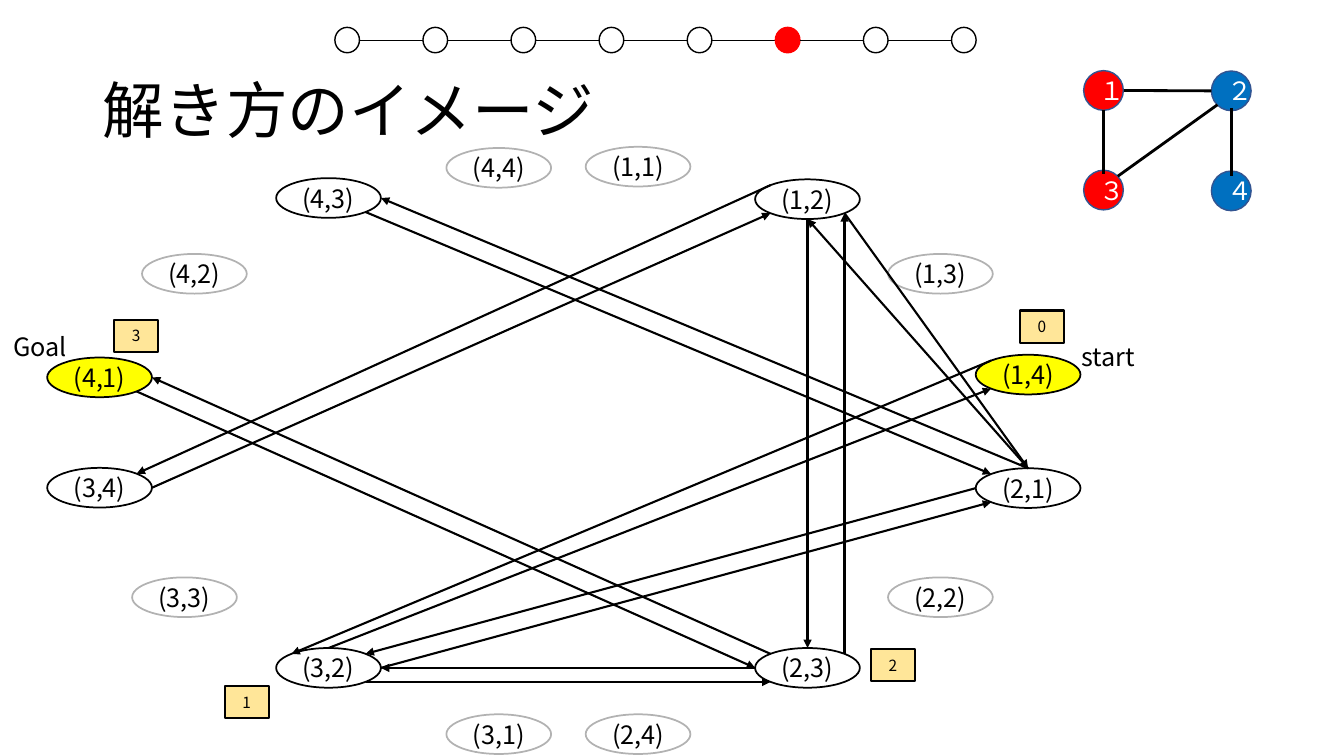
from math import sqrt

from lxml.etree import SubElement
from pptx import Presentation
from pptx.dml.color import RGBColor as Rgb
from pptx.enum.shapes import MSO_CONNECTOR as Conn, MSO_SHAPE as Kind
from pptx.enum.text import MSO_ANCHOR as Anchor, MSO_AUTO_SIZE as Auto, PP_ALIGN as Align
from pptx.oxml.ns import qn
from pptx.util import Cm, Pt

FONT = "Noto Sans CJK JP"
COLORS = {"black": "000000", "white": "FFFFFF", "red": "FF0000", "blue": "0070C0",
          "rim": "325491", "yellow": "FFFF00", "sand": "FFE699"}
NODE_W, NODE_H = 2.64, 1.0
DIAG = sqrt(0.5)
SITES = {"t": (0, -1), "b": (0, 1), "l": (-1, 0), "r": (1, 0),
         "tl": (-DIAG, -DIAG), "tr": (DIAG, -DIAG),
         "bl": (-DIAG, DIAG), "br": (DIAG, DIAG)}
NODES = {"(1,1)": (16.08, 4.2), "(4,4)": (12.57, 4.23), "(4,3)": (8.28, 4.99),
         "(4,2)": (4.9, 6.9), "(1,2)": (20.35, 5.02), "(1,3)": (23.7, 6.9),
         "(2,2)": (23.7, 15.05), "(4,1)": (2.51, 9.51), "(3,4)": (2.51, 12.29),
         "(3,3)": (4.65, 15.05), "(3,2)": (8.28, 16.83), "(3,1)": (12.57, 18.5),
         "(1,4)": (25.91, 9.44), "(2,4)": (16.08, 18.5), "(2,3)": (20.35, 16.83),
         "(2,1)": (25.91, 12.3)}
FADED = {"(1,1)", "(4,4)", "(4,2)", "(1,3)", "(2,2)", "(3,3)", "(3,1)", "(2,4)"}
ENDS = {"(1,4)", "(4,1)"}
EDGES = [("(1,2)", "tl", "(3,4)", "tr"), ("(1,2)", "b", "(2,3)", "t"),
         ("(2,1)", "t", "(4,3)", "r"), ("(2,1)", "l", "(3,2)", "tr"),
         ("(3,2)", "t", "(1,4)", "bl"), ("(1,4)", "tl", "(3,2)", "tl"),
         ("(2,3)", "tr", "(1,2)", "br"), ("(2,3)", "tl", "(4,1)", "r"),
         ("(3,2)", "r", "(2,1)", "bl"), ("(3,4)", "r", "(1,2)", "bl"),
         ("(4,1)", "br", "(2,3)", "l"), ("(4,3)", "br", "(2,1)", "tl"),
         ("(3,2)", "br", "(2,3)", "bl"), ("(2,3)", "l", "(3,2)", "r"),
         ("(2,1)", "t", "(1,2)", "b"), ("(1,2)", "br", "(2,1)", "t")]
MAP_DOTS = [("１", 27.81, 2.28, "red"), ("２", 31.03, 2.29, "blue"),
            ("４", 31.03, 4.81, "blue"), ("３", 27.81, 4.79, "red")]
MAP_LINES = [((28.32, 2.28), (30.53, 2.29)), ((28.17, 4.44), (30.68, 2.64)),
             ((27.81, 2.77), (27.81, 4.39)), ((31.04, 2.72), (31.04, 4.44))]
COSTS = [("0", 26.26, 8.23), ("2", 22.5, 16.76), ("1", 6.22, 17.7), ("3", 3.43, 8.46)]
LABELS = [("start", 27.0, 8.48, 1.88), ("Goal", 0.08, 8.23, 1.85)]
STEPS, STEP_X, STEP_Y, STEP_GAP, STEP_R, STEP_NOW = 8, 8.75, 1.01, 2.22, 0.31, 5


def color(name):
    return Rgb.from_string(COLORS[name])


def write(frame, text, size, tint="black", align=Align.LEFT):
    para = frame.paragraphs[0]
    para.alignment = align
    run = para.add_run()
    run.text = text
    for name, value in {"size": Pt(size), "name": FONT, "bold": False}.items():
        setattr(run.font, name, value)
    run.font.color.rgb = color(tint)
    SubElement(run.font._element, qn("a:ea"), typeface=FONT)


def add_block(slide, kind, mid, size, fill=None, line="black", width=1.25):
    (x, y), (w, h) = mid, size
    block = slide.shapes.add_shape(kind, Cm(x - w / 2), Cm(y - h / 2), Cm(w), Cm(h))
    block.shadow.inherit = False
    if fill:
        block.fill.solid()
        block.fill.fore_color.rgb = color(fill)
    else:
        block.fill.background()
    block.line.color.rgb = color(line)
    block.line.width = Pt(width)
    block.text_frame.vertical_anchor = Anchor.MIDDLE
    return block


def add_line(slide, start, end, width, arrow=False):
    line = slide.shapes.add_connector(Conn.STRAIGHT, *map(Cm, start + end))
    line.line.color.rgb = color("black")
    line.line.width = Pt(width)
    if arrow:
        SubElement(line.line._get_or_add_ln(), qn("a:tailEnd"), type="triangle")
    SubElement(line._element.spPr, qn("a:effectLst"))


def add_title(slide, text):
    title = slide.shapes.title
    place = {"left": 2.34, "top": 1.02, "width": 29.21, "height": 3.68}
    for name, value in place.items():
        setattr(title, name, Cm(value))
    frame = title.text_frame
    for name, value in {"auto_size": Auto.NONE, "vertical_anchor": Anchor.MIDDLE}.items():
        setattr(frame, name, value)
    write(frame, text, 44)
    frame.paragraphs[0].line_spacing = 0.9


def add_map(slide):
    for text, x, y, fill in MAP_DOTS:
        dot = add_block(slide, Kind.OVAL, (x, y), (1, 1), fill, "rim", 1)
        write(dot.text_frame, text, 18, "white", Align.CENTER)
    for start, end in MAP_LINES:
        add_line(slide, start, end, 2)


def add_node(slide, name):
    fill = "yellow" if name in ENDS else "white"
    node = add_block(slide, Kind.OVAL, NODES[name], (NODE_W, NODE_H), fill)
    write(node.text_frame, name, 18, align=Align.CENTER)
    if name in FADED:
        tint = node.line._get_or_add_ln().find(".//" + qn("a:srgbClr"))
        SubElement(tint, qn("a:alpha"), val="30000")


def find_site(name, side):
    (x, y), (dx, dy) = NODES[name], SITES[side]
    return x + dx * NODE_W / 2, y + dy * NODE_H / 2


def add_label(slide, text, x, y, w):
    frame = slide.shapes.add_textbox(Cm(x), Cm(y), Cm(w), Cm(1.02)).text_frame
    frame.word_wrap = False
    frame.auto_size = Auto.SHAPE_TO_FIT_TEXT
    write(frame, text, 18)


def add_cost(slide, text, x, y):
    box = add_block(slide, Kind.RECTANGLE, (x, y), (1.12, 0.81), "sand", width=1.5)
    write(box.text_frame, text, 11, align=Align.CENTER)


def add_steps(slide):
    for step in range(STEPS):
        x = STEP_X + step * STEP_GAP
        fill, line = ("red", "red") if step == STEP_NOW else (None, "black")
        add_block(slide, Kind.OVAL, (x, STEP_Y), (2 * STEP_R, 0.64), fill, line, 1)
        if step < STEPS - 1:
            add_line(slide, (x + STEP_R, STEP_Y), (x + STEP_GAP - STEP_R, STEP_Y), 0.5)


def main():
    """Build the state graph slide and save it."""
    deck = Presentation()
    deck.slide_width, deck.slide_height = Cm(33.87), Cm(19.05)
    slide = deck.slides.add_slide(deck.slide_layouts[5])
    add_title(slide, "解き方のイメージ")
    add_map(slide)
    for name in NODES:
        add_node(slide, name)
    for tail, out, head, into in EDGES:
        add_line(slide, find_site(tail, out), find_site(head, into), 1.5, True)
    for label in LABELS:
        add_label(slide, *label)
    for cost in COSTS:
        add_cost(slide, *cost)
    add_steps(slide)
    deck.save("out.pptx")


if __name__ == "__main__":
    main()
